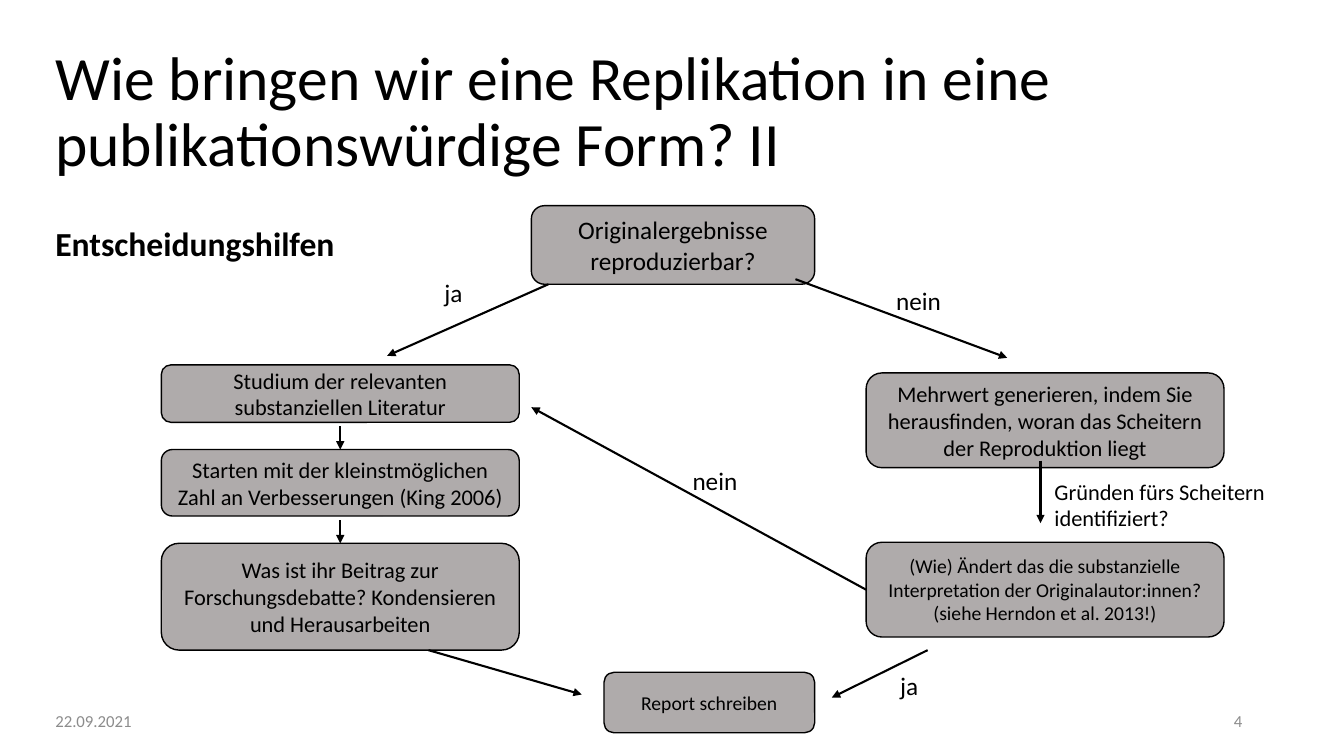
from pptx import Presentation
from pptx import util as u
from pptx.dml.color import RGBColor
from pptx.enum import shapes, text
from pptx.oxml.ns import qn
from lxml import etree

COLORS = {"ink": "000000", "box": "AFABAB", "footer": "8C8C8C"}
FONT = "Calibri"
LEFT, CENTER, RIGHT = text.PP_ALIGN.LEFT, text.PP_ALIGN.CENTER, text.PP_ALIGN.RIGHT
TOP, MIDDLE = text.MSO_ANCHOR.TOP, text.MSO_ANCHOR.MIDDLE
LEFT_SIDE, TOP_SIDE = 1, 0


def color(name):
    return RGBColor.from_string(COLORS[name])


def write(frame, words, size, align=LEFT, anchor=TOP, ink="ink", bold=False):
    frame.word_wrap = True
    frame.vertical_anchor = anchor
    paragraph = frame.paragraphs[0]
    paragraph.alignment = align
    run = paragraph.add_run()
    run.text = words
    run.font.name = FONT
    run.font.size = u.Pt(size)
    run.font.bold = bold
    run.font.color.rgb = color(ink)
    return paragraph


def add_label(slide, box, words, size, **style):
    label = slide.shapes.add_textbox(*map(u.Inches, box))
    return write(label.text_frame, words, size, **style)


def add_step(slide, box, words, size):
    step = slide.shapes.add_shape(
        shapes.MSO_SHAPE.ROUNDED_RECTANGLE, *map(u.Inches, box))
    step.shadow.inherit = False
    step.fill.solid()
    step.fill.fore_color.rgb = color("box")
    step.line.color.rgb = color("ink")
    step.line.width = u.Pt(1)
    write(step.text_frame, words, size, CENTER, MIDDLE)
    return step


def add_arrow(slide, start, end):
    arrow = slide.shapes.add_connector(
        shapes.MSO_CONNECTOR.STRAIGHT, *map(u.Inches, (*start, *end)))
    arrow.line.color.rgb = color("ink")
    arrow.line.width = u.Pt(1.5)
    etree.SubElement(arrow.line._get_or_add_ln(), qn("a:tailEnd"), type="triangle")
    etree.SubElement(arrow._element.spPr, qn("a:effectLst"))
    return arrow


def heading(slide, box):
    left, top, width, height = box
    title = add_label(slide, (left, top, 10.3, 1.45),
                      "Wie bringen wir eine Replikation in eine publikationswürdige Form? II",
                      44, anchor=MIDDLE)
    title.line_spacing = 0.9
    subtitle = add_label(slide, (left, top + 1.6, width, height - 1.6),
                         "Entscheidungshilfen", 24, bold=True)
    subtitle.line_spacing = 1.4
    subtitle.space_before = u.Pt(10)


def footer(slide, box):
    left, top, width, height = box
    cell = 1.5
    for x, words, align in ((left, "22.09.2021", LEFT),
                            (left + width - cell, "4", RIGHT)):
        add_label(slide, (x, top, cell, height), words, 12,
                  align=align, anchor=MIDDLE, ink="footer")


def question(slide, box):
    left, top, width, height = box
    add_step(slide, box, "Originalergebnisse reproduzierbar?", 18)
    add_arrow(slide, (left + 0.17, top + height), (left - 1.43, top + 1.49))
    add_arrow(slide, (left + width - 0.19, top + 0.73), (left + 4.72, top + 1.51))
    add_label(slide, (left - 0.96, top + 0.66, 0.48, 0.4), "ja", 18)
    add_label(slide, (left + 3.52, top + 0.74, 0.81, 0.4), "nein", 18)


def reproducible_branch(slide, box):
    left, top, width, height = box
    middle = left + width / 2
    steps = (
        (0, 0.57, "Studium der relevanten substanziellen Literatur"),
        (0.84, 0.66, "Starten mit der kleinstmöglichen Zahl an Verbesserungen (King 2006)"),
        (1.77, 1.06, "Was ist ihr Beitrag zur Forschungsdebatte? Kondensieren und Herausarbeiten"),
    )
    for index, (offset, step_height, words) in enumerate(steps):
        step_top = top + offset
        step = add_step(slide, (left, step_top, width, step_height), words, 16)
        if index:
            arrow = add_arrow(slide, (middle, step_top - 0.23), (middle, step_top))
            arrow.end_connect(step, TOP_SIDE)
    add_arrow(slide, (left + 2.65, top + height), (left + 4.17, top + 3.27))


def failed_branch(slide, box):
    left, top, width, height = box
    step_height = 0.94
    change_top = top + height - step_height
    add_step(slide, (left, top, width, step_height),
             "Mehrwert generieren, indem Sie herausfinden, woran das Scheitern "
             "der Reproduktion liegt", 16)
    add_arrow(slide, (left + 1.73, top + 0.87), (left + 1.73, top + 1.49))
    add_label(slide, (left + 1.77, top + 0.99, 2.79, 0.64),
              "Gründen fürs Scheitern identifiziert?", 16)
    change = add_step(slide, (left, change_top, width, step_height),
                      "(Wie) Ändert das die substanzielle Interpretation der "
                      "Originalautor:innen? (siehe Herndon et al. 2013!)", 14)
    back = add_arrow(slide, (left, change_top + step_height / 2),
                     (left - 3.32, top + 0.34))
    back.begin_connect(change, LEFT_SIDE)
    add_label(slide, (left - 1.82, top + 0.87, 0.81, 0.4), "nein", 18)
    add_arrow(slide, (left + 0.61, top + 2.75), (left - 0.34, top + 3.22))
    add_label(slide, (left + 0.24, top + 2.9, 0.48, 0.4), "ja", 18)


def main():
    deck = Presentation()
    deck.slide_width, deck.slide_height = u.Inches(13.33), u.Inches(7.5)
    slide = deck.slides.add_slide(deck.slide_layouts[6])
    heading(slide, (0.45, 0.4, 11.96, 2.3))
    footer(slide, (0.45, 6.95, 11.97, 0.4))
    question(slide, (5.27, 2.04, 2.81, 0.78))
    failed_branch(slide, (8.59, 3.7, 3.55, 2.62))
    add_step(slide, (5.99, 6.67, 2.09, 0.6), "Report schreiben", 14)
    reproducible_branch(slide, (1.6, 3.62, 3.55, 2.83))
    deck.save("out.pptx")


if __name__ == "__main__":
    main()
